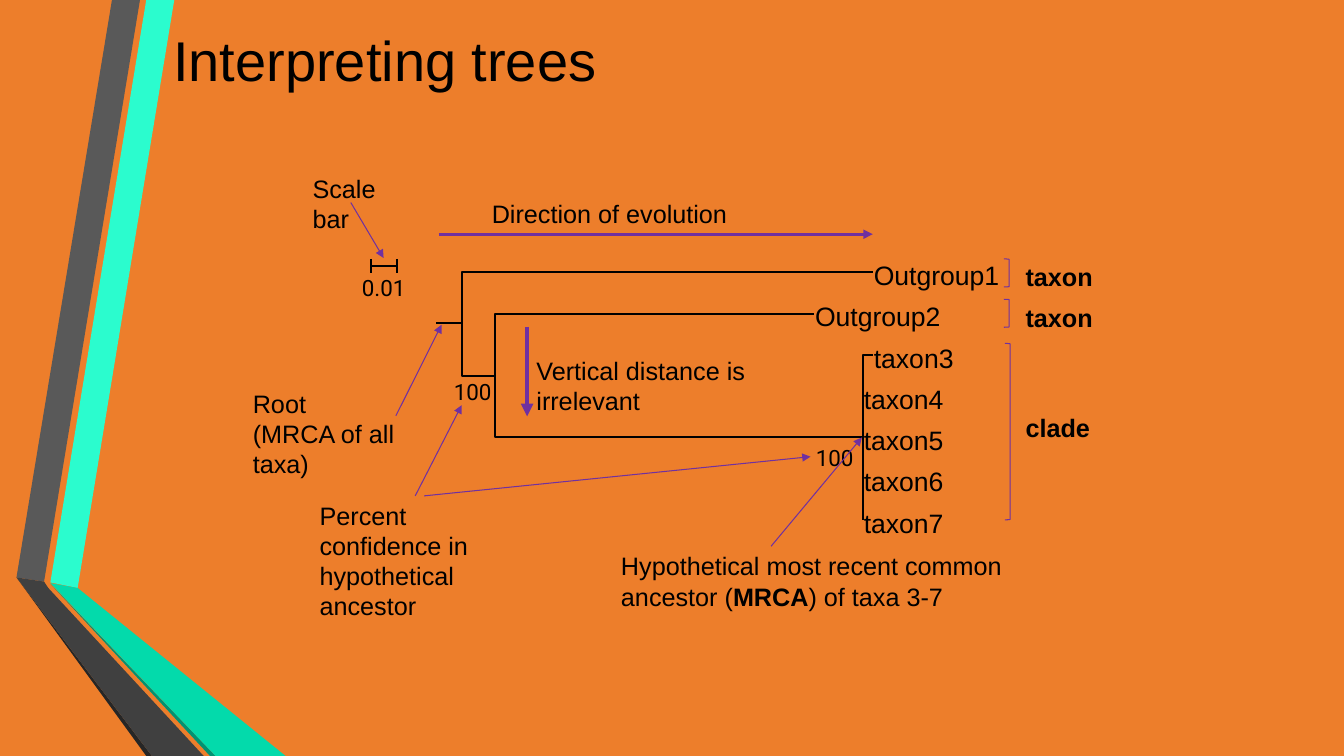
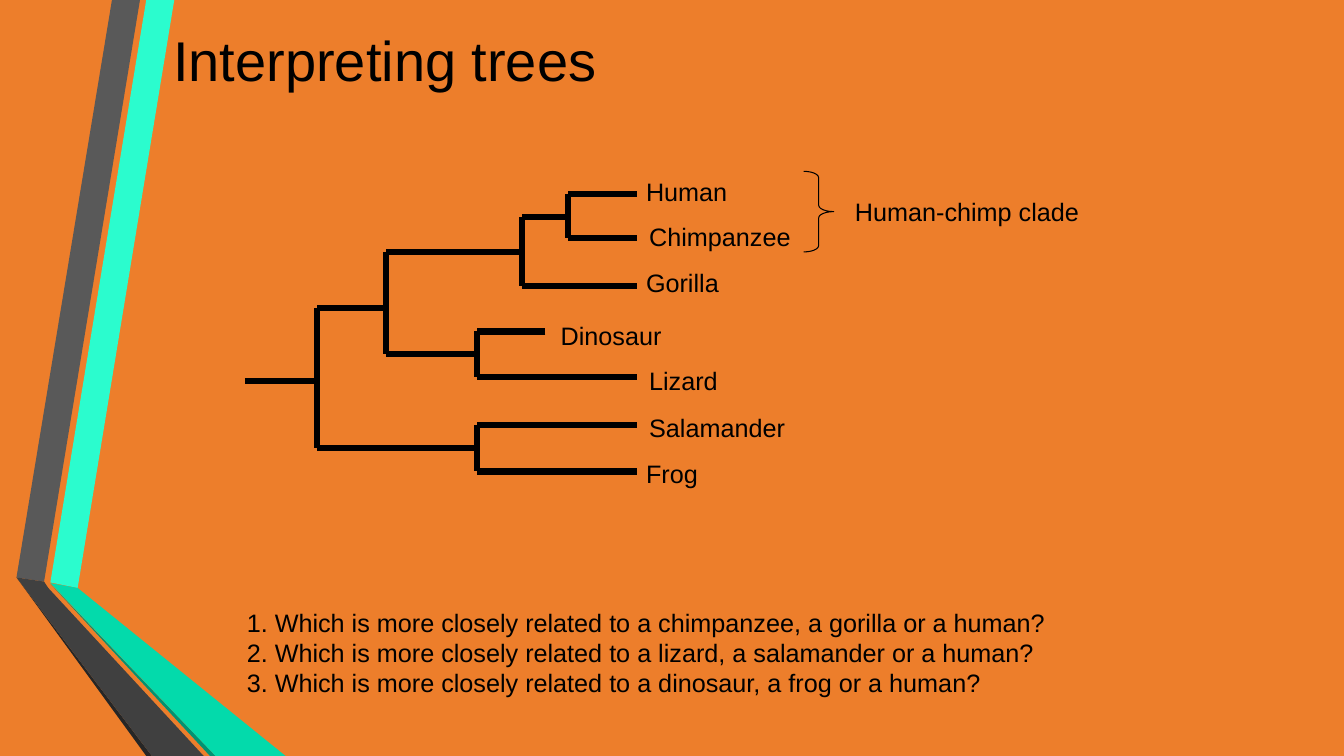
from dataclasses import dataclass

import pptx
import pptx.dml.color
import pptx.enum.shapes
import pptx.enum.text
import pptx.oxml.ns
import pptx.util
from lxml import etree

Pt = pptx.util.Pt
qn = pptx.oxml.ns.qn
PRESET = pptx.enum.shapes.MSO_SHAPE

WIDTH, HEIGHT = 960, 540
ORANGE, BLACK, PURPLE = "ED7E2B", "000000", "7030A0"
FONT, NUMBER_FONT = "Arial", "Roboto"
TITLE_BOX = (116.6, 0, 843.4, 84.2)
BANDS = [
    ("2BFCCE", [(36, 416), (55.5, 420), (124.5, 0), (104.5, 0)]),
    ("595959", [(100, 0), (80, 0), (11.8, 412.5), (31.5, 415.5)]),
    ("262626", [(11.8, 412.5), (104.5, HEIGHT), (108.5, HEIGHT)]),
    ("029172", [(36, 417), (150, HEIGHT), (154, HEIGHT)]),
    ("03DAAB", [(36, 416.5), (154, HEIGHT), (204, HEIGHT), (55.5, 420)]),
    ("404040", [(145.5, HEIGHT), (34.5, 420), (31.5, 415.5), (11.8, 412.5), (108.5, HEIGHT)]),
]


@dataclass
class Node:
    """A split in the tree, or a tip when it has a name."""
    x: float
    y: float
    children: tuple = ()
    name: str = ""
    name_box: tuple = ()


def rgb(code):
    return pptx.dml.color.RGBColor.from_string(code)


def box_points(box):
    return [Pt(length) for length in box]


def write(frame, text, size=18, font=FONT, color=BLACK, bold=False):
    """Fill a text frame: newlines part paragraphs, ** switches bold."""
    for index, line in enumerate(text.split("\n")):
        paragraph = frame.paragraphs[0] if index == 0 else frame.add_paragraph()
        paragraph.alignment = pptx.enum.text.PP_ALIGN.LEFT
        for part, words in enumerate(line.split("**")):
            run = paragraph.add_run()
            run.text = words
            run.font.size, run.font.name = Pt(size), font
            run.font.bold = bold or part % 2 == 1
            run.font.color.rgb = rgb(color)


def add_text(slide, text, box, wrap=True, inset=(7.2, 3.6), **text_format):
    frame = slide.shapes.add_textbox(*box_points(box)).text_frame
    frame.word_wrap = wrap
    frame.margin_left = frame.margin_right = Pt(inset[0])
    frame.margin_top = frame.margin_bottom = Pt(inset[1])
    write(frame, text, **text_format)


def add_line(slide, start, end, color=BLACK, width=1.38, arrow=False):
    line = slide.shapes.add_connector(
        pptx.enum.shapes.MSO_CONNECTOR.STRAIGHT, *box_points(start + end))
    line.line.color.rgb = rgb(color)
    line.line.width = Pt(width)
    properties = line.element.find(qn("p:spPr"))
    if arrow:
        etree.SubElement(properties.find(qn("a:ln")), qn("a:tailEnd"), type="triangle")
    etree.SubElement(properties, qn("a:effectLst"))


def add_outline(slide, corners, close):
    points = [box_points(corner) for corner in corners]
    builder = slide.shapes.build_freeform(*points[0], scale=1.0)
    builder.add_line_segments(points[1:], close=close)
    outline = builder.convert_to_shape()
    outline.shadow.inherit = False
    return outline


def stroke_only(shape, color, width):
    shape.fill.background()
    shape.line.color.rgb = rgb(color)
    shape.line.width = Pt(width)


def add_branch(slide, *corners):
    stroke_only(add_outline(slide, corners, close=False), BLACK, 1.38)


def add_bracket(slide, preset, box, color):
    bracket = slide.shapes.add_shape(preset, *box_points(box))
    bracket.shadow.inherit = False
    stroke_only(bracket, color, 0.75)
    return bracket


def decorate_master(master, slide):
    """Set the background and move bands drawn on the slide to the master."""
    master.background.fill.solid()
    master.background.fill.fore_color.rgb = rgb(ORANGE)
    for number, (color, corners) in enumerate(BANDS, start=100):
        band = add_outline(slide, corners, close=True)
        band.fill.solid()
        band.fill.fore_color.rgb = rgb(color)
        band.line.fill.background()
        band.element.nvSpPr.cNvPr.set("id", str(number))
        master.shapes.element.append(band.element)


def add_titled_slide(deck, text):
    slide = deck.slides.add_slide(deck.slide_layouts[5])
    title = slide.shapes.title
    title.left, title.top, title.width, title.height = box_points(TITLE_BOX)
    title.text_frame.auto_size = pptx.enum.text.MSO_AUTO_SIZE.NONE
    title.text_frame.vertical_anchor = pptx.enum.text.MSO_ANCHOR.MIDDLE
    write(title.text_frame, text, size=40)
    return slide


def draw_taxon_tree(slide):
    root, inner = (330, 231.5), (353.5, 268)
    row_gap, first_tip = 29.45, 194.6
    tips = [first_tip + row_gap * row for row in range(7)]
    clade = (616.3, tips[4])
    names = [("Outgroup1", 624.2), ("Outgroup2", 582.2), ("taxon3", 624.2)]
    names += [(f"taxon{number}", 617) for number in range(4, 8)]
    for (name, left), tip in zip(names, tips):
        width = 93 if name.startswith("Out") else 59
        add_text(slide, name, (left, tip - 9.5, width, 20), wrap=False, inset=(0, 0), size=19)

    for node, row, end in ((root, 0, 623.8), (inner, 1, 581.5), (clade, 2, 623.8)):
        add_branch(slide, node, (node[0], tips[row]), (end, tips[row]))
    for tip in (tips[3], tips[5], tips[6]):
        add_line(slide, clade, (clade[0], tip))
    for node, target in ((root, (inner[0], inner[1] + 0.5)), (inner, clade)):
        add_branch(slide, node, (node[0], target[1]), target)
    add_line(slide, (311.5, 230.9), (330, 230.9), width=1.5)

    bar_left, bar_right, bar_y = 265, 283.6, 190
    add_line(slide, (bar_left, bar_y), (bar_right, bar_y))
    for end in (bar_left, bar_right):
        add_line(slide, (end, bar_y - 5), (end, bar_y + 5))
    for number, box in (("100", (582.8, 317.5, 34.5, 19.5)),
                        ("100", (324.2, 270, 34.5, 19.5)),
                        ("0.01", (258.5, 195.8, 39.5, 19.5))):
        add_text(slide, number, box, wrap=False, inset=(0, 0), size=16, font=NUMBER_FONT)


def draw_annotations(slide):
    for label, bracket_box, label_top in (("taxon", (717.1, 185, 3.8, 20), 183.2),
                                          ("taxon", (717.1, 213.8, 3.8, 20), 212.6),
                                          ("clade", (717.8, 245.3, 3.8, 126), 291)):
        add_bracket(slide, PRESET.RIGHT_BRACKET, bracket_box, PURPLE)
        add_text(slide, label, (725.5, label_top, 68, 27), bold=True)

    for start, end, width in (((550.8, 390.2), (615.6, 312.5), 0.75),
                              ((313.5, 167.3), (623.5, 167.3), 2.25),
                              ((296.6, 354.2), (329.8, 289.4), 0.75),
                              ((303, 354.2), (579, 326.2), 0.75),
                              ((282.8, 297), (315.4, 232), 0.75),
                              ((250.6, 144.7), (274, 184.3), 0.75),
                              ((376.5, 233.4), (376.5, 297.4), 3)):
        add_line(slide, start, end, color=PURPLE, width=width, arrow=True)

    for note, box in (
            ("Hypothetical most recent common ancestor (**MRCA**) of taxa 3-7",
             (436.5, 389.8, 296, 51)),
            ("Direction of evolution", (344.2, 137.9, 331, 25.5)),
            ("Percent confidence in hypothetical ancestor", (221.2, 353.5, 129, 94)),
            ("Root\n(MRCA of all taxa)", (173.5, 273.5, 123, 73)),
            ("Scale bar", (216.2, 120.3, 73, 51)),
            ("Vertical distance is irrelevant", (376.1, 250.2, 196.6, 51))):
        add_text(slide, note, box)


def draw_clades(slide, node):
    if node.name:
        add_text(slide, node.name, node.name_box, wrap=False, inset=(6.5, 3))
        return
    rows = [child.y for child in node.children]
    add_line(slide, (node.x, min(rows)), (node.x, max(rows)), width=4.31)
    for child in node.children:
        add_line(slide, (child.x, child.y), (node.x, child.y), width=4.31)
        draw_clades(slide, child)


def animal_tree():
    def tip(name, y, left, top, width, x=455):
        return Node(x, y, name=name, name_box=(left, top, width, 25))

    human_chimp = Node(406, 139 + 16.2, (tip("Human", 138.8, 455, 122.8, 75),
                                         tip("Chimpanzee", 169.8, 457.2, 155.2, 118)))
    apes = Node(373.2, 180, (human_chimp, tip("Gorilla", 204.3, 455, 188, 70)))
    reptiles = Node(340.5, 253.2, (tip("Dinosaur", 236.8, 394, 225.5, 90, x=389.5),
                                   tip("Lizard", 269.3, 457.2, 258.3, 66)))
    amphibians = Node(340.5, 320.3, (tip("Salamander", 303.8, 457.2, 291.5, 114),
                                     tip("Frog", 336.8, 455, 324.3, 54)))
    amniotes = Node(275.7, 220.3, (apes, reptiles))
    return Node(226.7, 272.2, (amniotes, amphibians))


def draw_animal_slide(slide):
    root = animal_tree()
    add_line(slide, (175, root.y), (224, root.y), width=4.31)
    draw_clades(slide, root)
    brace = add_bracket(slide, PRESET.RIGHT_BRACE, (574, 122.4, 21.6, 57.6), BLACK)
    brace.adjustments[0], brace.adjustments[1] = 0.21, 0.5
    add_text(slide, "Human-chimp clade", (604.2, 137.2, 178, 43), wrap=False, inset=(6.5, 3))
    add_text(slide,
             "1. Which is more closely related to a chimpanzee, a gorilla or a human?\n"
             "2. Which is more closely related to a lizard, a salamander or a human?\n"
             "3. Which is more closely related to a dinosaur, a frog or a human?",
             (169.8, 430.5, 590, 80), wrap=False, inset=(6.5, 3))


def main():
    deck = pptx.Presentation()
    deck.slide_width, deck.slide_height = Pt(WIDTH), Pt(HEIGHT)
    taxa, animals = [add_titled_slide(deck, "Interpreting trees") for _ in range(2)]
    decorate_master(deck.slide_master, taxa)
    draw_taxon_tree(taxa)
    draw_annotations(taxa)
    draw_animal_slide(animals)
    deck.save("out.pptx")


if __name__ == "__main__":
    main()
